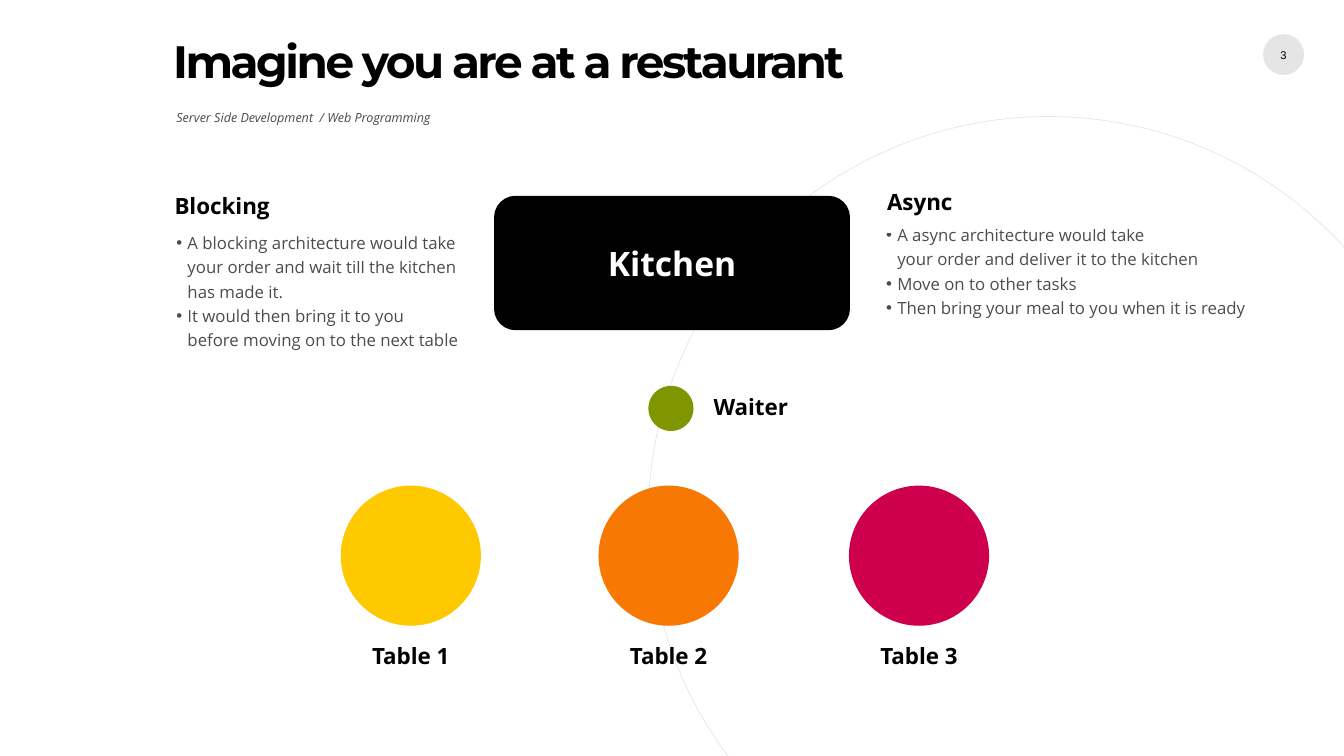
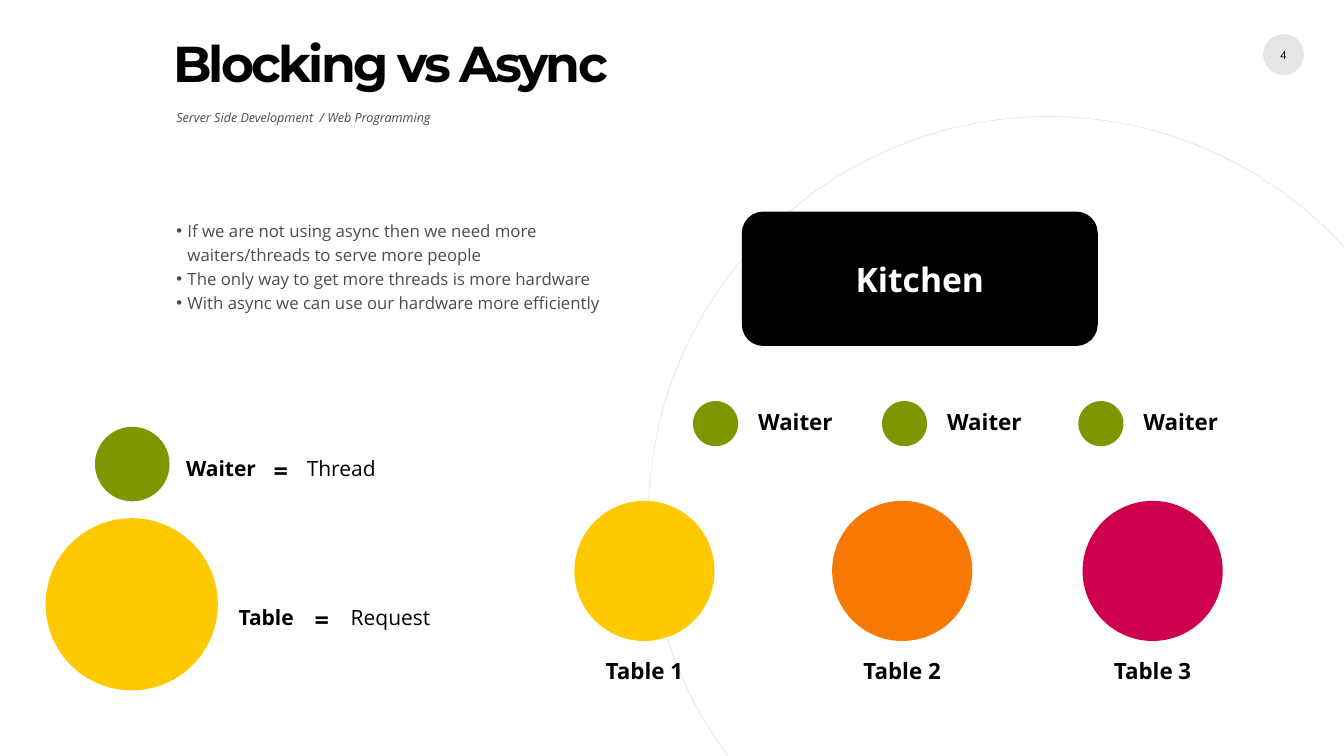
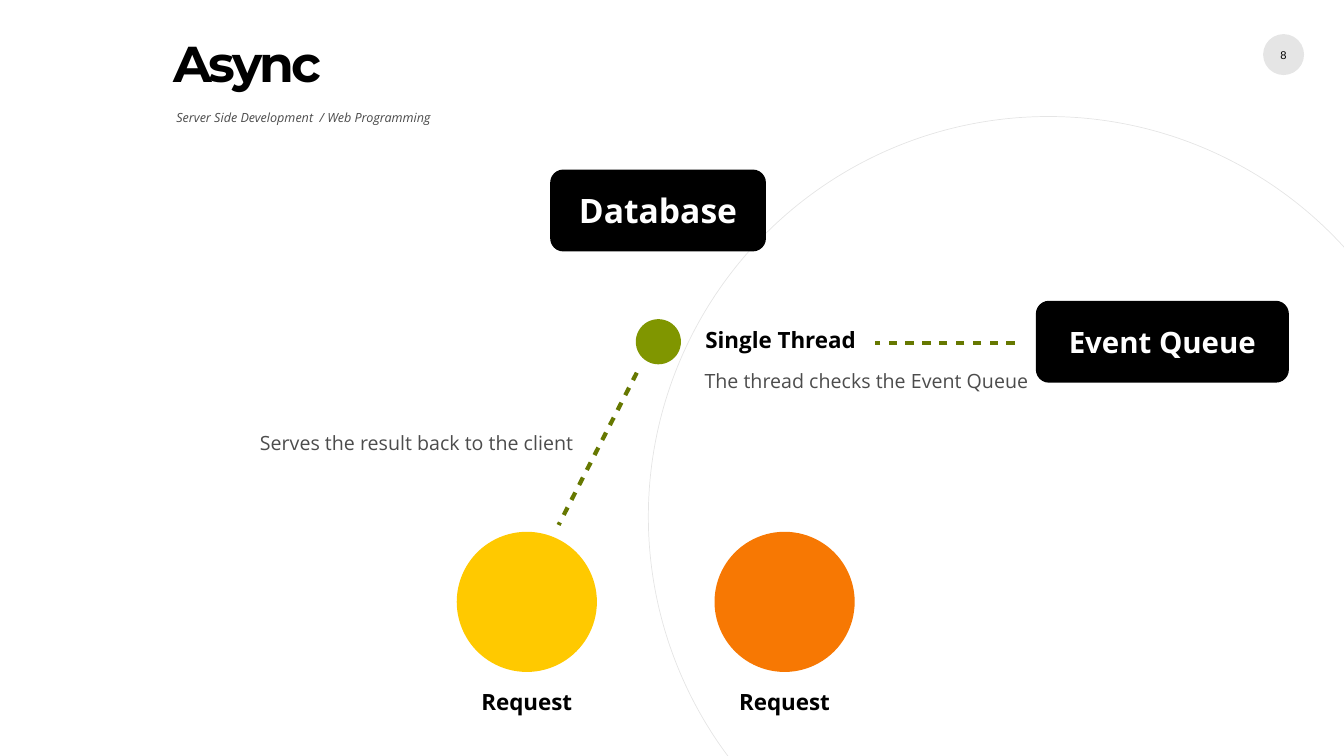
"""Builds three slides that explain blocking and async servers as a restaurant."""
from dataclasses import dataclass

from lxml.etree import SubElement as Sub
from pptx import Presentation as Deck
from pptx.dml.color import RGBColor as Rgb
from pptx.enum.shapes import MSO_CONNECTOR as Link, MSO_SHAPE as Kind
from pptx.enum.text import MSO_ANCHOR as Anchor, MSO_AUTO_SIZE as Fit, PP_ALIGN as Align
from pptx.oxml.ns import qn
from pptx.util import Inches, Pt

COLS, ROWS = 128, 72
WIDE, HIGH = Inches(13.33), Inches(7.5)


@dataclass(frozen=True)
class Theme:
    ink: str = "000000"
    paper: str = "FFFFFF"
    green: str = "809600"
    dash: str = "667800"
    hues: tuple = ("FFC900", "F77803", "CE004E")
    body: str = "Open Sans"
    head: str = "Montserrat"
    plain: str = "Arial"
    soft: float = 0.7
    faint: float = 0.1
    title: float = 36
    box: float = 24
    queue: float = 21
    name: float = 16
    key: float = 15
    sign: float = 18
    note: float = 14
    point: float = 12
    sub: float = 9
    page: float = 8


T = Theme()


def grid(x, y, w, h):
    return (round(x * WIDE / COLS), round(y * HIGH / ROWS),
            round(w * WIDE / COLS), round(h * HIGH / ROWS))


def fade(node, share):
    for tone in node.iter(qn("a:srgbClr")):
        Sub(tone, qn("a:alpha")).set("val", str(round(share * 100000)))


def write(frame, text, size=T.name, font=T.body, color=T.ink, bold=False, slant=False,
          align=Align.LEFT, lead=None, track=0, dots=False, wrap=True, inset=0,
          anchor=Anchor.TOP, fit=Fit.NONE):
    frame.word_wrap, frame.auto_size, frame.vertical_anchor = wrap, fit, anchor
    frame.margin_left = frame.margin_right = Inches(inset)
    frame.margin_top = frame.margin_bottom = Inches(inset)
    lines = [text] if isinstance(text, str) else text
    for i, line in enumerate(lines):
        para = frame.add_paragraph() if i else frame.paragraphs[0]
        para.text, para.alignment = line, align
        if lead:
            para.line_spacing = lead
        if dots:
            props = para._p.get_or_add_pPr()
            props.set("marL", str(Inches(0.11)))
            props.set("indent", str(-Inches(0.11)))
            Sub(props, qn("a:buFont")).set("typeface", T.plain)
            Sub(props, qn("a:buChar")).set("char", "•")
        for run in para.runs:
            face = run.font
            face.size, face.name, face.bold, face.italic = Pt(size), font, bold, slant
            face.color.rgb = Rgb.from_string(color)
            if track:
                run._r.get_or_add_rPr().set("spc", str(round(track * 100)))


class Page:
    def __init__(self, deck, title, number, size=T.title, track=-2):
        self.shapes = deck.slides.add_slide(deck.slide_layouts[6]).shapes
        badge = self.disc(120.3, 3.25, 3.9, T.ink, T.faint)
        write(badge.text_frame, number, size=T.page, font=T.plain, align=Align.CENTER,
              anchor=Anchor.MIDDLE, wrap=False)
        self.ring(61.75, 11.1, 76.2)
        self.text("Server Side Development  / Web Programming", 16.8, 10.45, 31.6, 9.6,
                  share=T.soft, size=T.sub, slant=True)
        self.text(title, 16.5, 4.4, 64.1, 7.8, size=size, font=T.head, bold=True,
                  lead=0.75, track=track)

    def shape(self, kind, x, y, w, h):
        item = self.shapes.add_shape(kind, *grid(x, y, w, h))
        item.shadow.inherit = False
        return item

    def fill(self, item, color):
        item.fill.solid()
        item.fill.fore_color.rgb = Rgb.from_string(color)
        item.line.fill.background()

    def disc(self, x, y, size, color, share=1):
        item = self.shape(Kind.OVAL, x, y, size, size)
        self.fill(item, color)
        if share < 1:
            fade(item.element, share)
        return item

    def ring(self, x, y, size):
        item = self.shape(Kind.OVAL, x, y, size, size)
        item.fill.background()
        item.line.color.rgb = Rgb.from_string(T.ink)
        item.line.width = Pt(0.5)
        fade(item.element, T.faint)

    def box(self, text, x, y, w, h, size=T.box):
        item = self.shape(Kind.ROUNDED_RECTANGLE, x, y, w, h)
        item.adjustments[0] = 0.16
        self.fill(item, T.ink)
        write(item.text_frame, text, size=size, color=T.paper, bold=True,
              align=Align.CENTER, anchor=Anchor.MIDDLE, inset=0.05)

    def text(self, text, x, y, w, h, share=1, **look):
        item = self.shapes.add_textbox(*grid(x, y, w, h))
        write(item.text_frame, text, **look)
        if share < 1:
            fade(item.element, share)

    def label(self, text, x, y, w, h=3, bold=True, size=T.name):
        self.text(text, x, y, w, h, bold=bold, size=size, align=Align.CENTER,
                  wrap=False, fit=Fit.SHAPE_TO_FIT_TEXT)

    def note(self, text, x, y):
        self.text(text, x, y, 31.6, 2.5, share=T.soft, size=T.note, lead=1.2,
                  fit=Fit.SHAPE_TO_FIT_TEXT)

    def points(self, x, y, h, *lines):
        self.text(lines, x, y, 43.2, h, share=T.soft, size=T.point, lead=1.2, dots=True,
                  fit=Fit.SHAPE_TO_FIT_TEXT)

    def kitchen(self, x, y):
        self.box("Kitchen", x, y, 33.9, 12.8)

    def waiter(self, x, y, name="Waiter", gap=6.15, w=7.2):
        self.disc(x, y, 4.3, T.green)
        self.label(name, x + gap, y + 0.65, w)

    def tables(self, x, y, names=("Table 1", "Table 2", "Table 3"), w=7.6):
        size = 13.35
        for step, hue, name in zip((0, 24.55, 48.4), T.hues, names):
            self.disc(x + step, y, size, hue)
            self.label(name, x + step + (size - w) / 2, y + 14.9, w)

    def legend(self, y, *parts):
        for text, x, w, bold in parts:
            size = T.sign if text == "=" else T.key
            self.label(text, x, y, w, bold=bold, size=size)

    def dashes(self, x, y, tox, toy):
        item = self.shapes.add_connector(Link.STRAIGHT, *grid(x, y, tox, toy))
        item.line.color.rgb = Rgb.from_string(T.dash)
        item.line.width = Pt(3)
        dash = Sub(Sub(item.line._get_or_add_ln(), qn("a:custDash")), qn("a:ds"))
        dash.set("d", "200000")
        dash.set("sp", "200000")
        Sub(item.element.spPr, qn("a:effectLst"))


def main():
    deck = Deck()
    deck.slide_width, deck.slide_height = WIDE, HIGH

    page = Page(deck, "Imagine you are at a restaurant", "3", size=32.4, track=-1.8)
    page.kitchen(47.05, 18.65)
    page.tables(32.45, 46.25)
    page.waiter(61.75, 36.75)
    page.label("Blocking", 16.5, 18.3, 9.3)
    page.points(16.8, 21.8, 13.2,
                "A blocking architecture would take\nyour order and wait till the kitchen\n"
                "has made it.",
                "It would then bring it to you\nbefore moving on to the next table")
    page.label("Async", 84.4, 17.95, 6.4)
    page.points(84.4, 21.05, 10.5,
                "A async architecture would take\nyour order and deliver it to the kitchen",
                "Move on to other tasks",
                "Then bring your meal to you when it is ready")

    page = Page(deck, "Blocking vs Async", "4")
    page.kitchen(70.65, 20.15)
    page.tables(54.7, 47.7)
    for x in (66, 84, 102.7):
        page.waiter(x, 38.2)
    page.points(16.8, 20.6, 10.5,
                "If we are not using async then we need more waiters/threads to serve more people",
                "The only way to get more threads is more hardware",
                "With async we can use our hardware more efficiently")
    page.disc(9.05, 40.65, 7.1, T.green)
    page.legend(43.4, ("Waiter", 17.6, 6.9, True), ("=", 26, 1.5, True),
                ("Thread", 29.1, 6.8, False))
    page.disc(4.35, 49.35, 16.4, T.hues[0])
    page.legend(57.55, ("Table", 22.6, 5.5, True), ("=", 29.9, 1.5, True),
                ("Request", 33.3, 7.8, False))

    page = Page(deck, "Async", "8")
    page.tables(43.5, 50.65, ("Request", "Request"), w=9.6)
    page.waiter(60.55, 30.4, "Single Thread", gap=6.45, w=14.7)
    page.dashes(60.65, 35.5, 53.2, 50)
    page.box("Database", 52.4, 16.15, 20.55, 7.8)
    page.box("Event Queue", 98.65, 28.65, 24.1, 7.8, size=T.queue)
    page.note("The thread checks the Event Queue", 67.1, 34.7)
    page.dashes(96.65, 32.65, 83.35, 32.65)
    page.note("Serves the result back to the client", 24.75, 40.6)

    deck.save("out.pptx")


if __name__ == "__main__":
    main()
